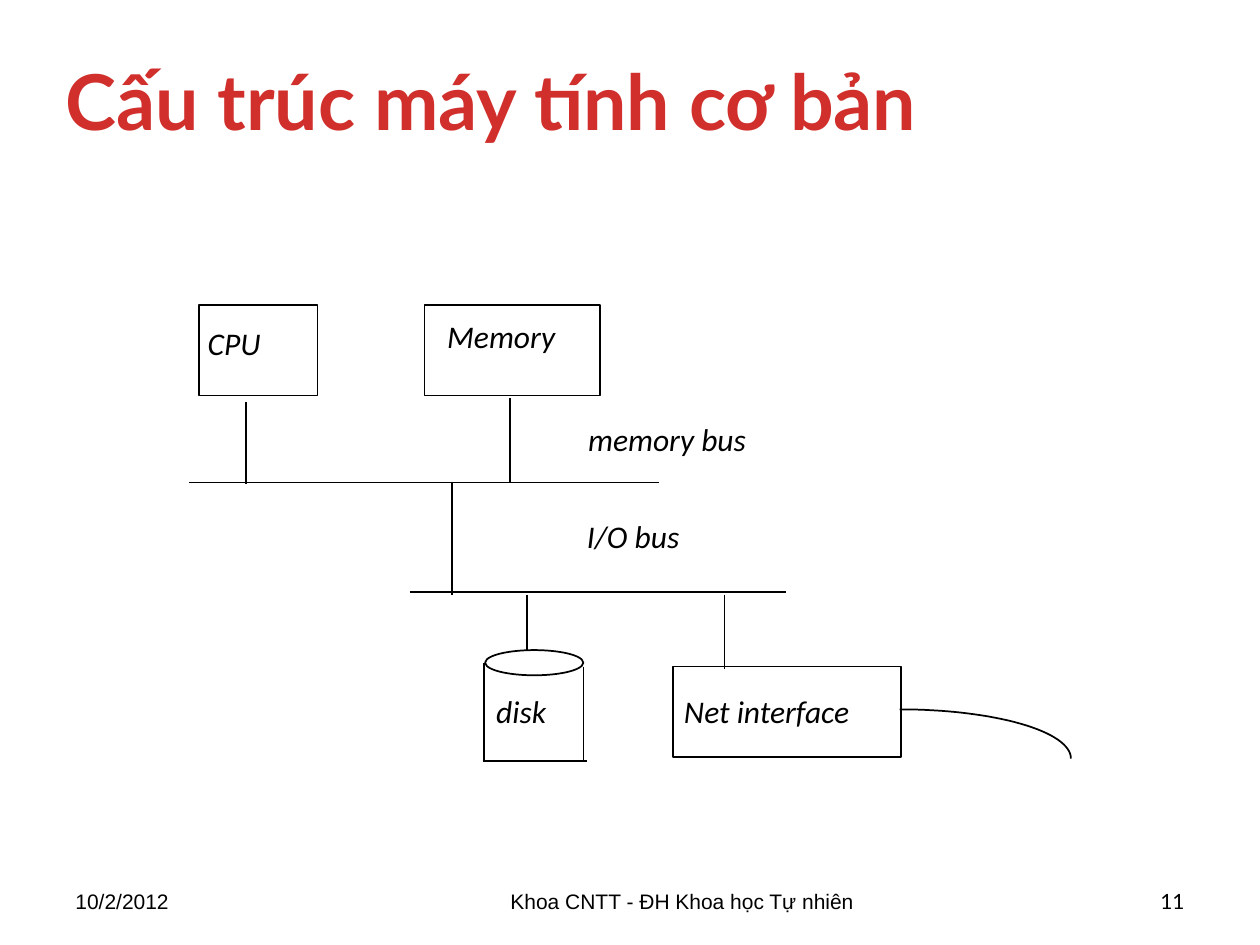
from math import cos, pi, sin

from lxml.etree import SubElement
from pptx import Presentation
from pptx.dml.color import RGBColor
from pptx.enum.shapes import MSO_CONNECTOR, MSO_SHAPE
from pptx.enum.text import MSO_ANCHOR, PP_ALIGN
from pptx.oxml.ns import qn
from pptx.util import Inches, Pt

RED = RGBColor(0xD0, 0x2F, 0x2C)
BLACK = RGBColor(0, 0, 0)
WHITE = RGBColor(255, 255, 255)

prs = Presentation()
prs.slide_width, prs.slide_height = Inches(10), Inches(7.5)
s = prs.slides.add_slide(prs.slide_layouts[5])


def add_text(text, x, y, w, font, size, align=PP_ALIGN.LEFT, italic=False):
    tb = s.shapes.add_textbox(Inches(x), Inches(y), Inches(w), Inches(0.4))
    tf = tb.text_frame
    tf.word_wrap = True
    tf.vertical_anchor = MSO_ANCHOR.MIDDLE
    p = tf.paragraphs[0]
    p.text = text
    p.alignment = align
    p.font.name, p.font.size, p.font.italic = font, Pt(size), italic
    p.font.color.rgb = BLACK


def outline(sp):
    sp.line.color.rgb = BLACK
    sp.line.width = Pt(1)


# Title
title = s.shapes.title
title.left, title.top = Inches(0.42), Inches(0.17)
title.width, title.height = Inches(9.42), Inches(1.25)
tf = title.text_frame
tf.vertical_anchor = MSO_ANCHOR.MIDDLE
p = tf.paragraphs[0]
p.text = "Cấu trúc máy tính cơ bản"
p.alignment = PP_ALIGN.LEFT
p.font.name, p.font.size, p.font.bold = "Lato", Pt(44), True
p.font.color.rgb = RED

# Footer
for text, x, w, font, align in [
    ("10/2/2012", 0.5, 1.08, "Arial", PP_ALIGN.LEFT),
    ("Khoa CNTT - ĐH Khoa học Tự nhiên", 2.08, 6.67, "Arial", PP_ALIGN.CENTER),
    ("11", 8.92, 0.58, "Lato", PP_ALIGN.RIGHT),
]:
    add_text(text, x, 6.95, w, font, 12, align)

# Component boxes and the top of the disk
for kind, x, y, w, h in [
    (MSO_SHAPE.RECTANGLE, 1.58, 2.42, 0.94, 0.72),  # CPU
    (MSO_SHAPE.RECTANGLE, 3.37, 2.42, 1.39, 0.72),  # memory
    (MSO_SHAPE.RECTANGLE, 5.34, 5.29, 1.81, 0.72),  # net interface
    (MSO_SHAPE.OVAL, 3.85, 5.16, 0.78, 0.2),  # disk top
]:
    sp = s.shapes.add_shape(kind, Inches(x), Inches(y), Inches(w), Inches(h))
    sp.shadow.inherit = False
    sp.fill.solid()
    sp.fill.fore_color.rgb = WHITE
    outline(sp)

# Buses, their branches and the disk sides
for x1, y1, x2, y2 in [
    (1.5, 3.83, 5.23, 3.83),  # memory bus
    (1.95, 3.19, 1.95, 3.84),
    (4.05, 3.16, 4.05, 3.83),
    (3.25, 4.7, 6.24, 4.7),  # I/O bus
    (3.59, 3.83, 3.59, 4.72),
    (4.18, 4.72, 4.18, 5.16),
    (5.75, 4.72, 5.75, 5.31),
    (3.84, 5.26, 3.84, 6.04),  # disk
    (3.83, 6.04, 4.66, 6.04),
    (4.63, 5.29, 4.63, 6.04),
]:
    line = s.shapes.add_connector(
        MSO_CONNECTOR.STRAIGHT, Inches(x1), Inches(y1), Inches(x2), Inches(y2))
    outline(line)
    SubElement(line._element.spPr, qn("a:effectLst"))

# Network cable: a quarter ellipse
STEPS = 32
cable = [(Inches(7.14 + 1.36 * sin(a)), Inches(6.02 - 0.39 * cos(a)))
         for a in (i * pi / 2 / STEPS for i in range(STEPS + 1))]
fb = s.shapes.build_freeform(*cable[0])
fb.add_line_segments(cable[1:], close=False)
sp = fb.convert_to_shape()
sp.shadow.inherit = False
sp.fill.background()
outline(sp)

# Labels
for text, x, y, w in [
    ("CPU", 1.55, 2.52, 0.73),
    ("Memory", 3.45, 2.47, 1.1),
    ("memory bus", 4.57, 3.28, 1.57),
    ("I/O bus", 4.56, 4.05, 1),
    ("disk", 3.84, 5.44, 0.64),
    ("Net interface", 5.33, 5.44, 1.61),
]:
    add_text(text, x, y, w, "Calibri", 18, italic=True)

prs.save("out.pptx")
